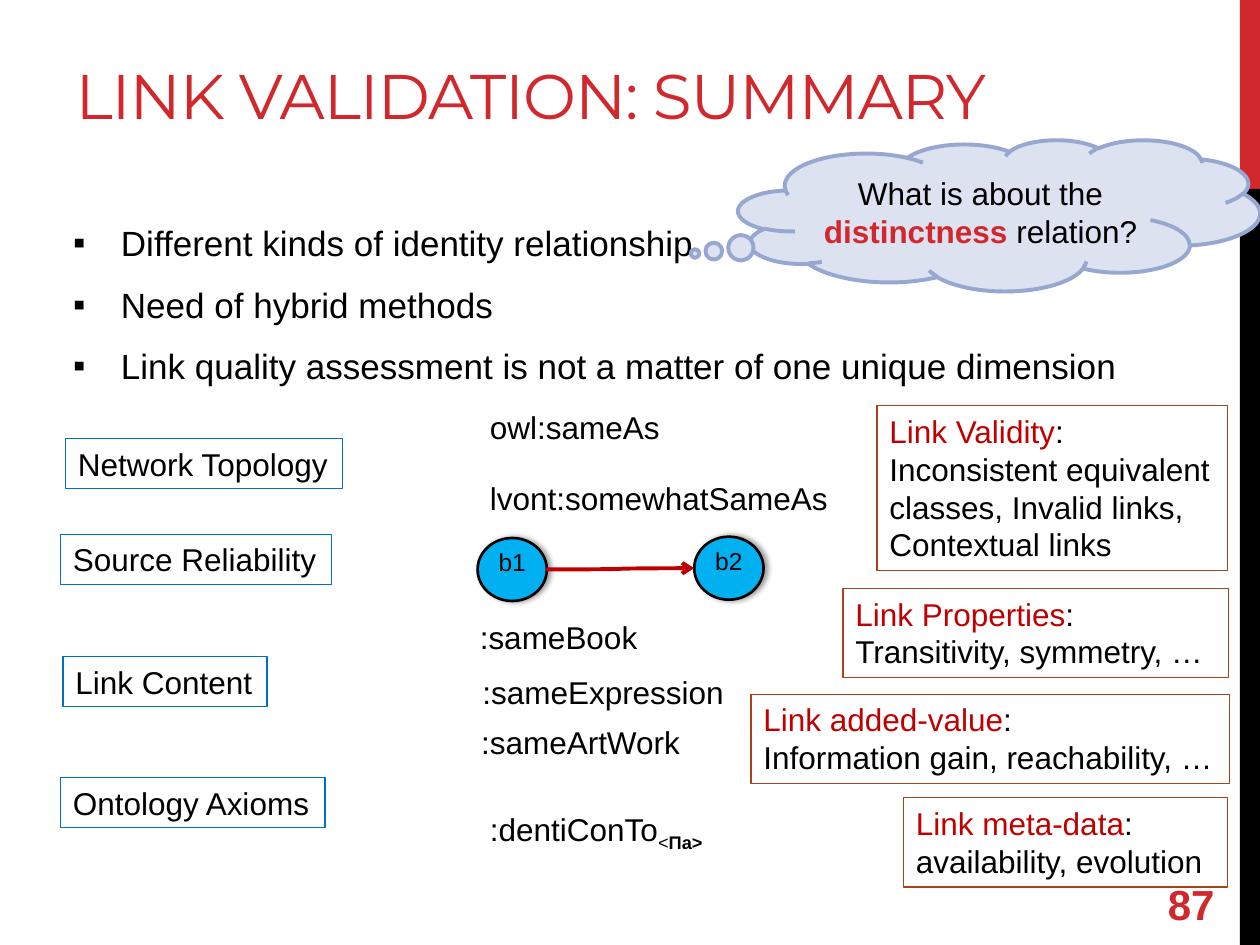
from lxml import etree
from pptx import Presentation
from pptx.dml.color import RGBColor
from pptx.enum.shapes import MSO_CONNECTOR, MSO_SHAPE
from pptx.enum.text import MSO_ANCHOR, MSO_AUTO_SIZE, PP_ALIGN
from pptx.oxml import parse_xml
from pptx.oxml.ns import nsdecls, qn
from pptx.util import Inches, Pt

RECTANGLE, OVAL, CLOUD = MSO_SHAPE.RECTANGLE, MSO_SHAPE.OVAL, MSO_SHAPE.CLOUD_CALLOUT
CURVE = MSO_CONNECTOR.CURVE
TOP, MIDDLE, BOTTOM = MSO_ANCHOR.TOP, MSO_ANCHOR.MIDDLE, MSO_ANCHOR.BOTTOM
LEFT, CENTER = PP_ALIGN.LEFT, PP_ALIGN.CENTER
FIT_SHAPE, NO_FIT = MSO_AUTO_SIZE.SHAPE_TO_FIT_TEXT, MSO_AUTO_SIZE.NONE

COLORS = {
    "red": "D1282E", "dark_red": "C00000", "black": "000000",
    "blue": "0070C0", "node": "00B0F0", "brown": "A6431A",
    "cloud": "DCE2EF", "cloud_line": "97A7D0",
}
BASE = {"name": "Arial", "size": Pt(18), "bold": False, "color": "black"}

FACTORS = [
    ("Network Topology", 0.52, 3.48, 2.2),
    ("Source Reliability", 0.48, 4.24, 2.15),
    ("Link Content", 0.5, 5.21, 1.62),
    ("Ontology Axioms", 0.48, 6.17, 2.1),
]
RELATIONS = [
    ("owl:sameAs", 3.79, 3.19, 1.56),
    ("lvont:somewhatSameAs", 3.79, 3.75, 2.91),
    (":sameBook", 3.71, 4.86, 1.46),
    (":sameExpression", 3.73, 5.29, 2.14),
    (":sameArtWork", 3.72, 5.69, 1.8),
]
DIMENSIONS = [
    ("Link Validity", ["Inconsistent equivalent classes, Invalid links,", "Contextual links"],
     (6.96, 3.22, 2.78, 1.31), True),
    ("Link Properties", ["Transitivity, symmetry, …"], (6.69, 4.67, 3.06, 0.71), True),
    ("Link added-value", ["Information gain, reachability, …"], (5.96, 5.51, 3.8, 0.71), False),
    ("Link meta-data", ["availability, evolution"], (7.17, 6.33, 2.57, 0.71), False),
]
SUMMARY = [
    "Different kinds of identity relationship",
    "Need of hybrid methods",
    "Link quality assessment is not a matter of one unique dimension",
]


def rgb(color):
    return RGBColor.from_string(COLORS[color])


def set_values(target, values):
    for name, value in values.items():
        setattr(target, name, value)


def add_span(para, text, **changes):
    """Add a run in the base format with the given changes; return it."""
    style = {**BASE, **changes}
    color = style.pop("color")
    span = para.add_run()
    span.text = text
    set_values(span.font, style)
    span.font.color.rgb = rgb(color)
    return span


def fill_frame(shape, paragraphs, align=LEFT, **frame_format):
    """Write paragraphs, each a list of (text, changes), into a shape."""
    frame = shape.text_frame
    set_values(frame, {"word_wrap": True, "vertical_anchor": TOP, **frame_format})
    for index, spans in enumerate(paragraphs):
        para = frame.add_paragraph() if index else frame.paragraphs[0]
        para.alignment = align
        for text, changes in spans:
            add_span(para, text, **changes)


def place(shape, left, top, width, height):
    set_values(shape, {"left": Inches(left), "top": Inches(top),
                       "width": Inches(width), "height": Inches(height)})


def add_figure(slide, kind, place_inches, fill=None, line=None, weight=0.75):
    shape = slide.shapes.add_shape(kind, *map(Inches, place_inches))
    shape.shadow.inherit = False
    if fill:
        shape.fill.solid()
        shape.fill.fore_color.rgb = rgb(fill)
    else:
        shape.fill.background()
    if line:
        shape.line.color.rgb = rgb(line)
        shape.line.width = Pt(weight)
    else:
        shape.line.fill.background()
    return shape


def add_label(slide, spans, left, top, width, height=0.4, **frame_format):
    box = slide.shapes.add_textbox(*map(Inches, (left, top, width, height)))
    fill_frame(box, [spans], **{"word_wrap": False, **frame_format})
    return box


def add_framed_text(slide, paragraphs, place_inches, line, wrap=False):
    box = add_figure(slide, RECTANGLE, place_inches, line=line)
    fill_frame(box, paragraphs, word_wrap=wrap, auto_size=FIT_SHAPE)


def add_node(slide, name, left, top):
    node = add_figure(slide, OVAL, (left, top, 0.55, 0.5), "node", "black", 1.5)
    effects = node._element.spPr.find(qn("a:effectLst"))
    effects.append(parse_xml(
        f'<a:outerShdw {nsdecls("a")} blurRad="40000" dist="23000" dir="0" rotWithShape="0">'
        '<a:srgbClr val="000000"><a:alpha val="40000"/></a:srgbClr></a:outerShdw>'))
    fill_frame(node, [[(name, {"size": Pt(14)})]], CENTER,
               margin_left=0, margin_right=0, margin_top=0, margin_bottom=0)


def add_curved_arrow(slide, start, end):
    arrow = slide.shapes.add_connector(CURVE, *map(Inches, start + end))
    arrow.line.color.rgb = rgb("dark_red")
    arrow.line.width = Pt(2.25)
    etree.SubElement(arrow.line._get_or_add_ln(), qn("a:tailEnd"), type="arrow")
    etree.SubElement(arrow._element.spPr, qn("a:effectLst"))


def add_bullet(para):
    properties = para._p.get_or_add_pPr()
    properties.set("marL", str(Inches(0.38)))
    properties.set("indent", str(Inches(-0.38)))
    etree.SubElement(properties, qn("a:buChar"), char="▪")


def fill_summary(body):
    place(body, 0.48, 1.71, 9.52, 5.12)
    fill_frame(body, [[(text, {"size": Pt(20)})] for text in SUMMARY], auto_size=NO_FIT)
    for index, para in enumerate(body.text_frame.paragraphs):
        add_bullet(para)
        para.space_before = Pt(5 if index else 0)
        para.space_after = Pt(6)


def fill_title(title):
    place(title, 0.5, 0.17, 8.67, 1.5)
    style = {"name": "Montserrat", "size": Pt(36), "color": "red"}
    fill_frame(title, [[("LINK VALIDATION: SUMMARY", style)]], auto_size=NO_FIT,
               vertical_anchor=BOTTOM, margin_bottom=Inches(0.62))
    span = title.text_frame.paragraphs[0].runs[0]
    span.font._element.set("spc", "-60")


def add_cloud(slide):
    cloud = add_figure(slide, CLOUD, (5.86, 1.11, 4.14, 1.2), "cloud", "cloud_line", 2.25)
    cloud.adjustments[0] = -0.583
    cloud.adjustments[1] = 0.252
    fill_frame(cloud, [[("What is about the ", {}),
                        ("distinctness", {"color": "red", "bold": True}),
                        (" relation?", {})]], CENTER, vertical_anchor=MIDDLE)


def main():
    deck = Presentation()
    deck.slide_width, deck.slide_height = Inches(10), Inches(7.5)
    slide = deck.slides.add_slide(deck.slide_layouts[1])

    add_figure(slide, RECTANGLE, (9.84, 0, 0.16, 1.5), "red")
    add_figure(slide, RECTANGLE, (9.84, 1.5, 0.16, 6), "black")
    add_label(slide, [("87", {"size": Pt(24), "bold": True, "color": "red"})],
              9.17, 6.97, 0.83, word_wrap=True, vertical_anchor=MIDDLE)
    fill_title(slide.shapes.title)
    fill_summary(slide.placeholders[1])

    for text, left, top, width in FACTORS:
        add_framed_text(slide, [[(text, {})]], (left, top, width, 0.4), "blue")
    for text, left, top, width in RELATIONS:
        add_label(slide, [(text, {})], left, top, width, auto_size=FIT_SHAPE)
    identity = add_label(slide, [(":dentiConTo", {}), ("<", {}), ("Πa>", {"bold": True})],
                         3.79, 6.38, 1.96, auto_size=FIT_SHAPE)
    for span in identity.text_frame.paragraphs[0].runs[1:]:
        span.font._element.set("baseline", "-25000")

    add_node(slide, "b1", 3.79, 4.27)
    add_node(slide, "b2", 5.51, 4.26)
    add_curved_arrow(slide, (4.33, 4.52), (5.51, 4.51))

    for heading, details, place_inches, wrap in DIMENSIONS:
        paragraphs = [[(heading, {"color": "dark_red"}), (":", {})]]
        paragraphs += [[(text, {})] for text in details]
        add_framed_text(slide, paragraphs, place_inches, "brown", wrap)
    add_cloud(slide)

    deck.save("out.pptx")


if __name__ == "__main__":
    main()
